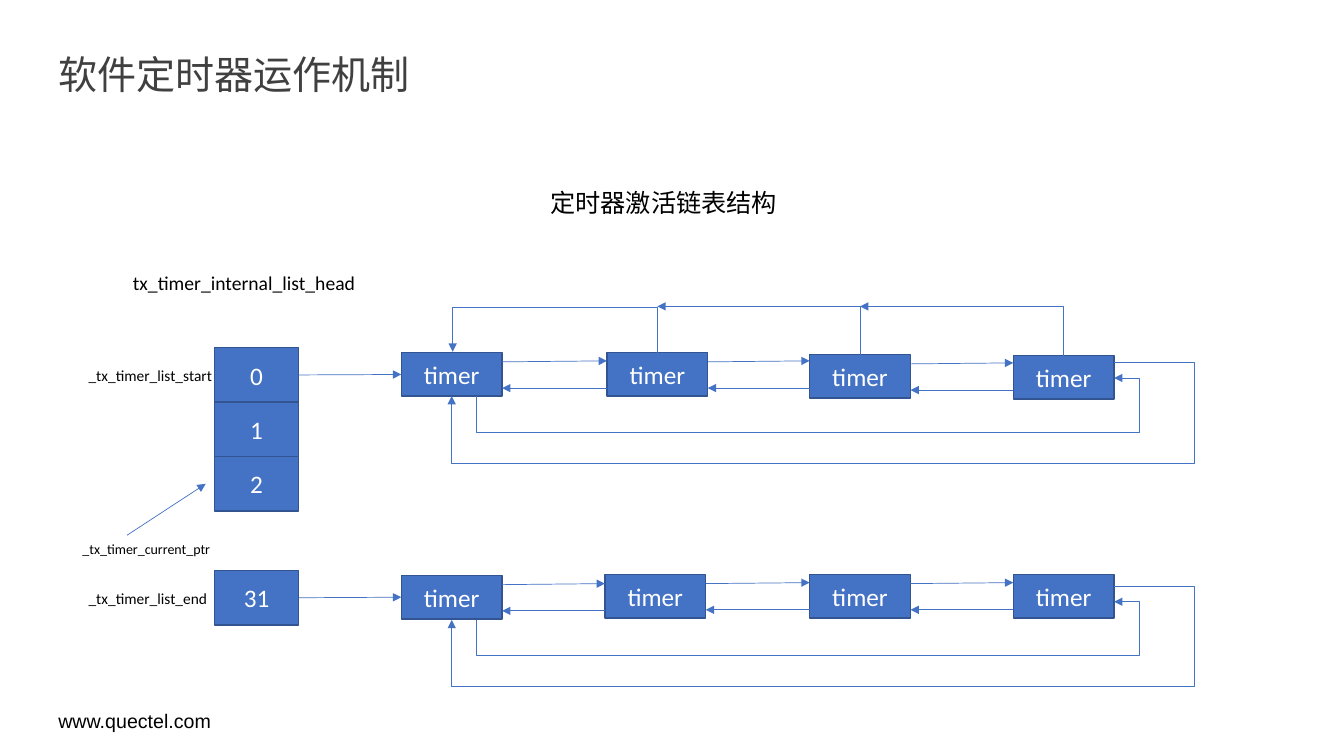
from dataclasses import dataclass

from lxml import etree
from pptx import Presentation
from pptx import util as u
from pptx.dml.color import RGBColor
from pptx.enum import shapes, text
from pptx.oxml.ns import qn

PX = 9144  # one px is a hundredth of an inch
BLUE = RGBColor(0x44, 0x72, 0xC4)
EDGE = RGBColor(0x32, 0x54, 0x91)
WHITE = RGBColor(0xFF, 0xFF, 0xFF)
BLACK = RGBColor(0, 0, 0)
GREY = RGBColor(0x40, 0x40, 0x40)
HAN = "Noto Sans CJK SC"

CELL_X, CELL_W, CELL_H = 213, 83, 54
NODE_W, NODE_H = 100, 43


@dataclass
class Label:
    words: str
    x: int
    y: int
    w: int
    h: int
    size: float
    font: str = "Calibri"
    color: RGBColor = BLACK
    master: bool = False  # tight, closely spaced title or footer
    anchor: text.MSO_ANCHOR = text.MSO_ANCHOR.TOP


@dataclass
class Chain:
    cell: str
    cell_y: int
    nodes: list[tuple[int, int]]  # left and top of each timer
    loop_y: int  # where the outer loop leaves the last timer


@dataclass
class Elbow:
    kind: int  # number in the bentConnector preset
    start: tuple[int, int]
    end: tuple[int, int]
    turn: int
    adj: tuple[int, ...] = ()  # thousandths of a percent


LABELS = [
    Label("www.quectel.com", 48, 701, 1210, 31, 14, "Arial", master=True,
          anchor=text.MSO_ANCHOR.MIDDLE),
    Label("软件定时器运作机制", 48, 55, 1210, 49, 27.9, HAN, GREY, master=True),
    Label("_tx_timer_current_ptr", 72, 531, 196, 27, 10),
    Label("_tx_timer_list_start", 78, 358, 166, 29, 11),
    Label("_tx_timer_list_end", 78, 579, 166, 29, 11),
    Label("tx_timer_internal_list_head", 122, 264, 325, 34, 14),
    Label("定时器激活链表结构", 536, 181, 261, 40, 18),
]
CHAINS = [
    Chain("0", 345, [(398, 350), (602, 350), (803, 352), (1005, 353)], 360),
    Chain("31", 566, [(398, 571), (600, 570), (803, 570), (1005, 570)], 582),
]
BACK = [  # links over the top of the first chain
    Elbow(3, (652, 350), (449, 349), 270, (4600000,)),
    Elbow(2, (853, 352), (652, 304), 270),
    Elbow(2, (1055, 353), (853, 304), 270),
]

prs = Presentation()
prs.slide_width, prs.slide_height = u.Inches(13.33), u.Inches(7.5)
slide = prs.slides.add_slide(prs.slide_layouts[6])


def style(run, size: float, font: str, color: RGBColor) -> None:
    run.font.size = u.Pt(size)
    run.font.color.rgb = color
    run.font.name = font
    etree.SubElement(run.font._element, qn("a:ea"), typeface=HAN)


def write(item: Label) -> None:
    box = slide.shapes.add_textbox(*(n * PX for n in (item.x, item.y, item.w, item.h)))
    frame = box.text_frame
    frame.text = item.words
    frame.word_wrap = True
    frame.vertical_anchor = item.anchor
    para = frame.paragraphs[0]
    if item.master:
        frame.margin_top = frame.margin_bottom = 0
        para.line_spacing = 0.9
    style(para.runs[0], item.size, item.font, item.color)


def block(words: str, x: int, y: int, w: int, h: int):
    box = slide.shapes.add_shape(shapes.MSO_SHAPE.RECTANGLE,
                                 x * PX, y * PX, w * PX, h * PX)
    box.shadow.inherit = False
    box.fill.solid()
    box.fill.fore_color.rgb = BLUE
    box.line.color.rgb = EDGE
    box.line.width = u.Pt(1)
    frame = box.text_frame
    frame.text = words
    frame.vertical_anchor = text.MSO_ANCHOR.MIDDLE
    para = frame.paragraphs[0]
    para.alignment = text.PP_ALIGN.CENTER
    style(para.runs[0], 18, "Calibri", WHITE)
    return box


def finish(link) -> None:
    link.line.color.rgb = BLUE
    link.line.width = u.Pt(0.5)
    etree.SubElement(link.line._get_or_add_ln(), qn("a:tailEnd"), type="triangle")
    etree.SubElement(link._element.spPr, qn("a:effectLst"))


def arrow(x1: int, y1: int, x2: int, y2: int):
    link = slide.shapes.add_connector(shapes.MSO_CONNECTOR.STRAIGHT,
                                      x1 * PX, y1 * PX, x2 * PX, y2 * PX)
    finish(link)
    return link


def bend(item: Elbow) -> None:
    (x1, y1), (x2, y2) = item.start, item.end
    w, h = abs(x2 - x1) * PX, abs(y2 - y1) * PX
    if item.turn == 270:
        w, h = h, w
    # The frame turns about its own centre
    left = (x1 + x2) * PX // 2 - w // 2
    top = (y1 + y2) * PX // 2 - h // 2
    link = slide.shapes.add_connector(shapes.MSO_CONNECTOR.ELBOW,
                                      left, top, left + w, top + h)
    frame = link._element.spPr.find(qn("a:xfrm"))
    frame.set("rot", str(item.turn * 60000))
    frame.set("flipV", "1")
    geom = link._element.spPr.find(qn("a:prstGeom"))
    geom.set("prst", f"bentConnector{item.kind}")
    guides = geom.find(qn("a:avLst"))
    if guides is None:
        guides = etree.SubElement(geom, qn("a:avLst"))
    for i, val in enumerate(item.adj, 1):
        etree.SubElement(guides, qn("a:gd"), name=f"adj{i}", fmla=f"val {val}")
    finish(link)


def draw(chain: Chain) -> None:
    cell = block(chain.cell, CELL_X, chain.cell_y, CELL_W, CELL_H)
    nodes = [block("timer", x, y, NODE_W, NODE_H) for x, y in chain.nodes]

    # Cell to first timer
    link = arrow(CELL_X + CELL_W, chain.cell_y, chain.nodes[0][0], chain.cell_y)
    link.begin_connect(cell, 3)
    link.end_connect(nodes[0], 1)

    # Next and previous links
    for (x, y), (far, _) in zip(chain.nodes, chain.nodes[1:]):
        arrow(x + NODE_W, y + 9, far, y + 8)
        arrow(far, y + 35, x + NODE_W, y + 35)

    # Outer and inner loops
    y, low = chain.loop_y, chain.loop_y + 33
    bend(Elbow(4, (1105, y), (448, low), 180, (-12100, 301200)))
    bend(Elbow(5, (473, low), (1105, y + 15), 0, (-100, -198200, 104000)))


def main() -> None:
    for item in LABELS:
        write(item)
    for i in (1, 2):
        block(str(i), CELL_X, CHAINS[0].cell_y + i * CELL_H, CELL_W, CELL_H)
    for chain in CHAINS:
        draw(chain)
    for item in BACK:
        bend(item)
    arrow(126, 531, 204, 480)  # current pointer
    prs.save("out.pptx")


if __name__ == "__main__":
    main()
